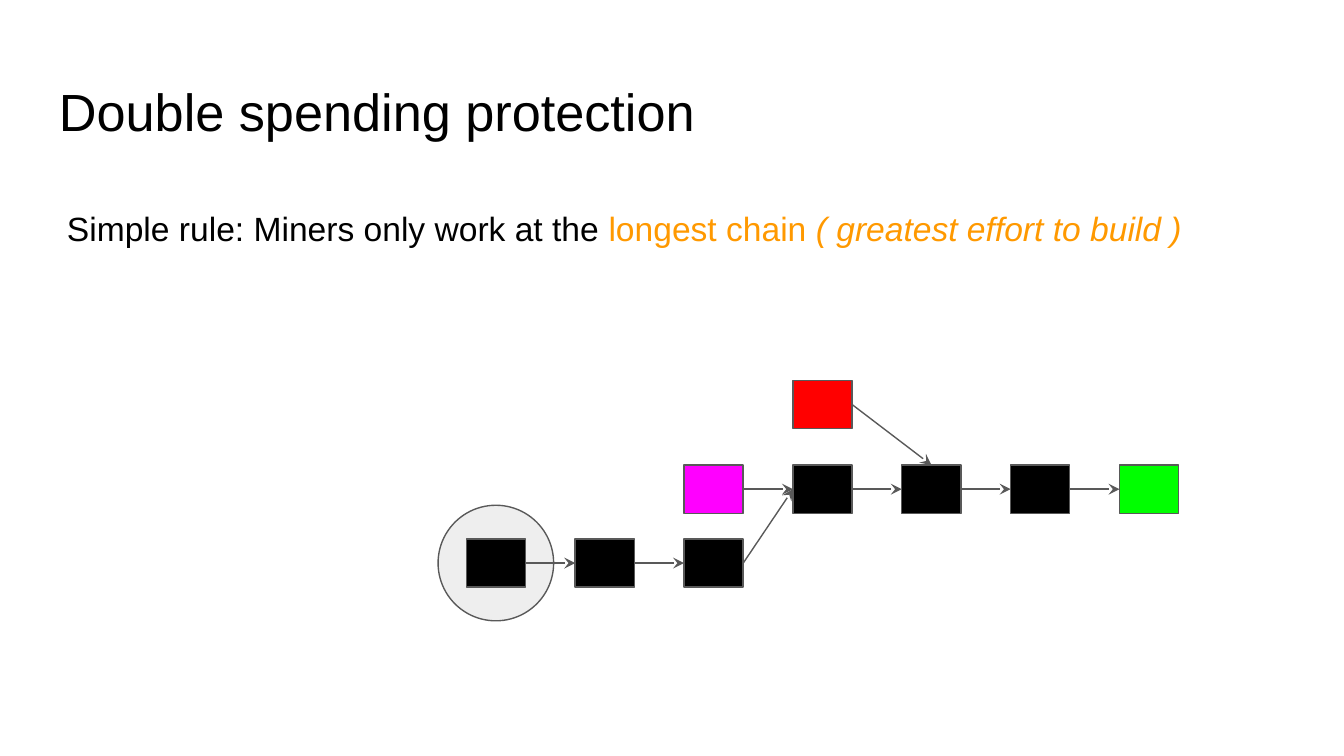
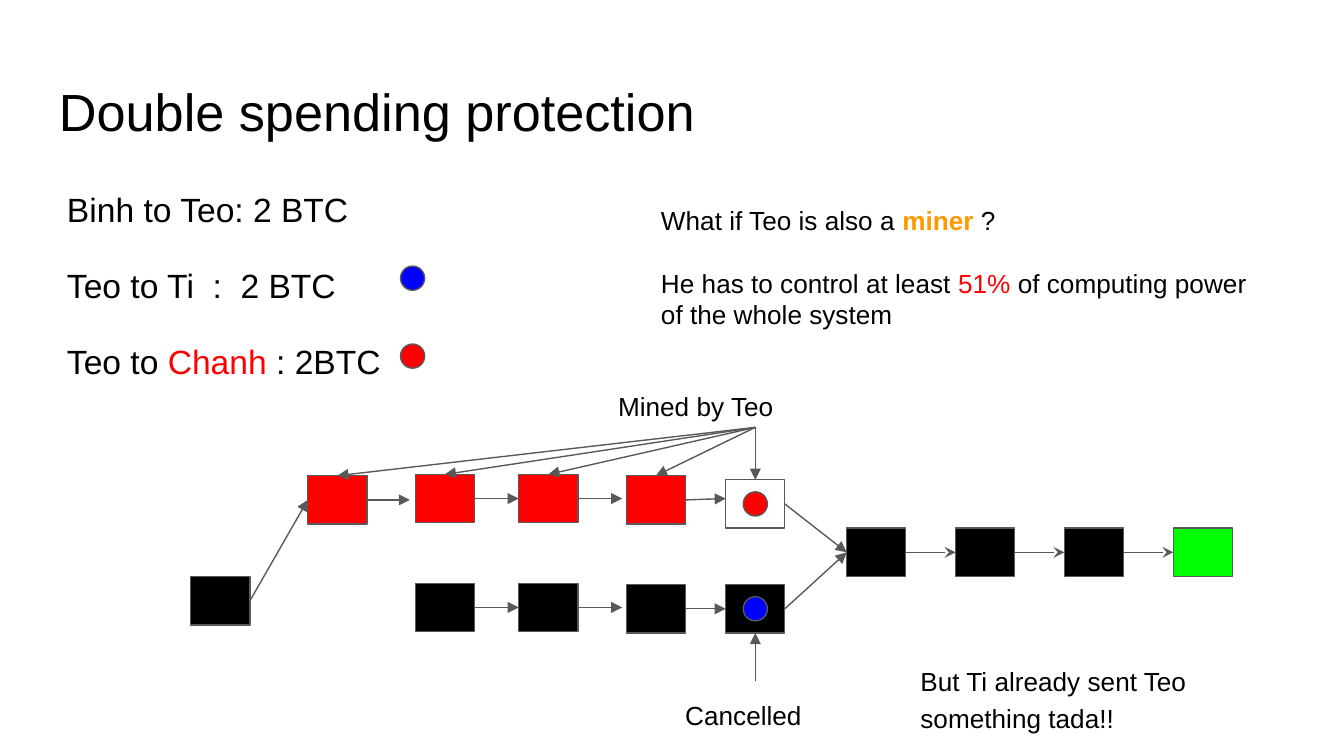
from lxml import etree
from pptx import Presentation
from pptx import util as u
from pptx.dml.color import RGBColor
from pptx.enum import shapes, text
from pptx.oxml.ns import qn

WIDTH = 10
HEIGHT = WIDTH * 9 / 16
FONT = "Arial"
BLACK, WHITE, GRAY, PALE = "000000", "FFFFFF", "595959", "EEEEEE"
RED, GREEN, BLUE, PINK, ORANGE = "FF0000", "00FF00", "0000FF", "FF00FF", "FF9900"
TOP, LEFT, BOTTOM, RIGHT = range(4)
PITCH = 0.81
INSET = 0.1

RECT, OVAL = shapes.MSO_SHAPE.RECTANGLE, shapes.MSO_SHAPE.OVAL
KINDS = {
    "block": (RECT, 0.44, 0.36),
    "coin": (OVAL, 0.18, 0.18),
    "halo": (OVAL, 0.86, 0.86),
}

TITLE = "Double spending protection"
TITLE_AT = (0.34, 0.49, 9.32, 0.63)


def chain(names, left, top, colors):
    return {
        name: ("block", left + PITCH * column, top, color)
        for column, (name, color) in enumerate(zip(names, colors))
    }


def row(names, lefts, tops, colors):
    return {
        name: ("block", left, top, color)
        for name, left, top, color in zip(names, lefts, tops, colors)
    }


def sequence(names, head):
    return [(a, RIGHT, b, LEFT, head) for a, b in zip(names, names[1:])]


LOWER = ["genesis", "second", "third"]
UPPER = ["orphan", "fourth", "fifth", "sixth", "newest"]
FORK_LEFTS = [2.29, 3.09, 3.86, 4.66, 5.4]
SECRET = ["secret1", "secret2", "secret3", "secret4", "spend"]
HONEST = ["honest1", "honest2", "honest3", "cancelled"]
LATER = ["later1", "later2", "later3", "latest"]
MINED_FROM = (5.62, 3.18)

SLIDES = [
    {
        "texts": [
            ((0.4, 1.4, 8.91, 0.63), 18, 1.15, 0, [
                [("Simple rule: Miners only work at the ", {}),
                 ("longest chain ", {"color": ORANGE}),
                 ("( greatest effort to build )", {"color": ORANGE, "italic": True})],
            ]),
        ],
        "shapes": {
            "halo": ("halo", 3.26, 3.76, PALE),
            **chain(LOWER, 3.47, 4.01, [BLACK] * 3),
            **chain(UPPER, 3.47 + 2 * PITCH, 3.46, [PINK, BLACK, BLACK, BLACK, GREEN]),
            "stale": ("block", 3.47 + 3 * PITCH, 2.83, RED),
        },
        "links": [
            *sequence(LOWER, "stealth"),
            *sequence(UPPER, "stealth"),
            ("third", RIGHT, "fourth", LEFT, "stealth"),
            ("stale", RIGHT, "fifth", TOP, "stealth"),
        ],
    },
    {
        "texts": [
            ((4.82, 1.42, 4.74, 1.19), 14, 1, 17, [
                [("What if Teo is also a ", {}),
                 ("miner ", {"color": ORANGE, "bold": True}),
                 ("?", {})],
                [("He has to control at least ", {}),
                 ("51%", {"color": RED}),
                 (" of computing power of the whole system", {})],
            ]),
            ((0.4, 1.26, 3.62, 1.81), 18, 1.15, 16, [
                [("Binh to Teo: 2 BTC", {})],
                [("Teo to Ti  :  2 BTC", {})],
                [("Teo to ", {}), ("Chanh", {"color": RED}), (" : 2BTC", {})],
            ]),
            ((4.5, 2.77, 2.25, 0.41), 14, 1.15, 0, [[("Mined by Teo", {})]]),
            ((5, 5.07, 1.24, 0.41), 14, 1.15, 0, [[("Cancelled", {})]]),
            ((6.75, 4.82, 3, 0.76), 14, 1.15, 0,
             [[("But Ti already sent Teo something tada!!", {})]]),
        ],
        "shapes": {
            "root": ("block", 1.42, 4.29, BLACK),
            **row(SECRET, FORK_LEFTS, [3.54, 3.53, 3.53, 3.54, 3.57], [RED] * 4 + [None]),
            **row(HONEST, FORK_LEFTS[1:], [4.34, 4.34, 4.35, 4.35], [BLACK] * 4),
            **chain(LATER, 6.3, 3.93, [BLACK] * 3 + [GREEN]),
            "blue key": ("coin", 2.98, 1.98, BLUE),
            "red key": ("coin", 2.98, 2.56, RED),
            "blue coin": ("coin", 5.53, 4.44, BLUE),
            "red coin": ("coin", 5.53, 3.66, RED),
        },
        "links": [
            ("root", RIGHT, "secret1", LEFT, "triangle"),
            ("secret1", RIGHT, (3.05, 3.72), None, "triangle"),
            *sequence(SECRET[1:3], "triangle"),
            ("secret3", RIGHT, (4.63, 3.71), None, "triangle"),
            ("secret4", RIGHT, (5.4, 3.71), None, "triangle"),
            *sequence(HONEST[:2], "triangle"),
            ("honest2", RIGHT, (4.63, 4.52), None, "triangle"),
            *sequence(HONEST[2:], "triangle"),
            ("spend", RIGHT, "later1", LEFT, "triangle"),
            ("cancelled", RIGHT, "later1", LEFT, "triangle"),
            *sequence(LATER, "stealth"),
            ((5.62, 5.07), None, "cancelled", BOTTOM, "triangle"),
            *[(MINED_FROM, None, name, TOP, "triangle") for name in SECRET],
        ],
    },
]


def rgb(value):
    return RGBColor.from_string(value)


def apply(target, values):
    for name, value in values.items():
        setattr(target, name, value)


def set_line(item):
    item.line.color.rgb = rgb(GRAY)
    item.line.width = u.Pt(0.75)


def add_text(page, place, size, spacing, gap, paragraphs):
    box = page.shapes.add_textbox(*map(u.Inches, place))
    frame = box.text_frame
    apply(frame, {"word_wrap": True, "vertical_anchor": text.MSO_ANCHOR.TOP})
    apply(frame, {f"margin_{side}": u.Inches(INSET)
                  for side in ("left", "top", "right", "bottom")})
    for index, spans in enumerate(paragraphs):
        para = frame.add_paragraph() if index else frame.paragraphs[0]
        apply(para, {"line_spacing": spacing, "space_before": u.Pt(gap if index else 0)})
        for words, style in spans:
            span = para.add_run()
            span.text = words
            apply(span.font, {"name": FONT, "size": u.Pt(size),
                              "bold": style.get("bold", False),
                              "italic": style.get("italic", False)})
            span.font.color.rgb = rgb(style.get("color", BLACK))


def add_figure(page, kind, left, top, color):
    preset, width, height = KINDS[kind]
    figure = page.shapes.add_shape(preset, *map(u.Inches, (left, top, width, height)))
    figure.shadow.inherit = False
    if color:
        figure.fill.solid()
        figure.fill.fore_color.rgb = rgb(color)
    else:
        figure.fill.background()
    set_line(figure)
    return figure


def add_link(page, figures, start, start_site, end, end_site, head):
    points = [u.Inches(value) for spot in (start, end)
              for value in (spot if isinstance(spot, tuple) else (0, 0))]
    link = page.shapes.add_connector(shapes.MSO_CONNECTOR.STRAIGHT, *points)
    if start in figures:
        link.begin_connect(figures[start], start_site)
    if end in figures:
        link.end_connect(figures[end], end_site)
    set_line(link)
    properties = link.element.find(qn("p:spPr"))
    etree.SubElement(properties.find(qn("a:ln")), qn("a:tailEnd"),
                     type=head, w="med", len="med")
    etree.SubElement(properties, qn("a:effectLst"))


def add_page(deck, content):
    page = deck.slides.add_slide(deck.slide_layouts[6])
    page.background.fill.solid()
    page.background.fill.fore_color.rgb = rgb(WHITE)
    add_text(page, TITLE_AT, 28, 1, 0, [[(TITLE, {})]])
    for entry in content["texts"]:
        add_text(page, *entry)
    figures = {name: add_figure(page, *entry)
               for name, entry in content["shapes"].items()}
    for entry in content["links"]:
        add_link(page, figures, *entry)


def main():
    deck = Presentation()
    apply(deck, {"slide_width": u.Inches(WIDTH), "slide_height": u.Inches(HEIGHT)})
    for content in SLIDES:
        add_page(deck, content)
    deck.save("out.pptx")


if __name__ == "__main__":
    main()
